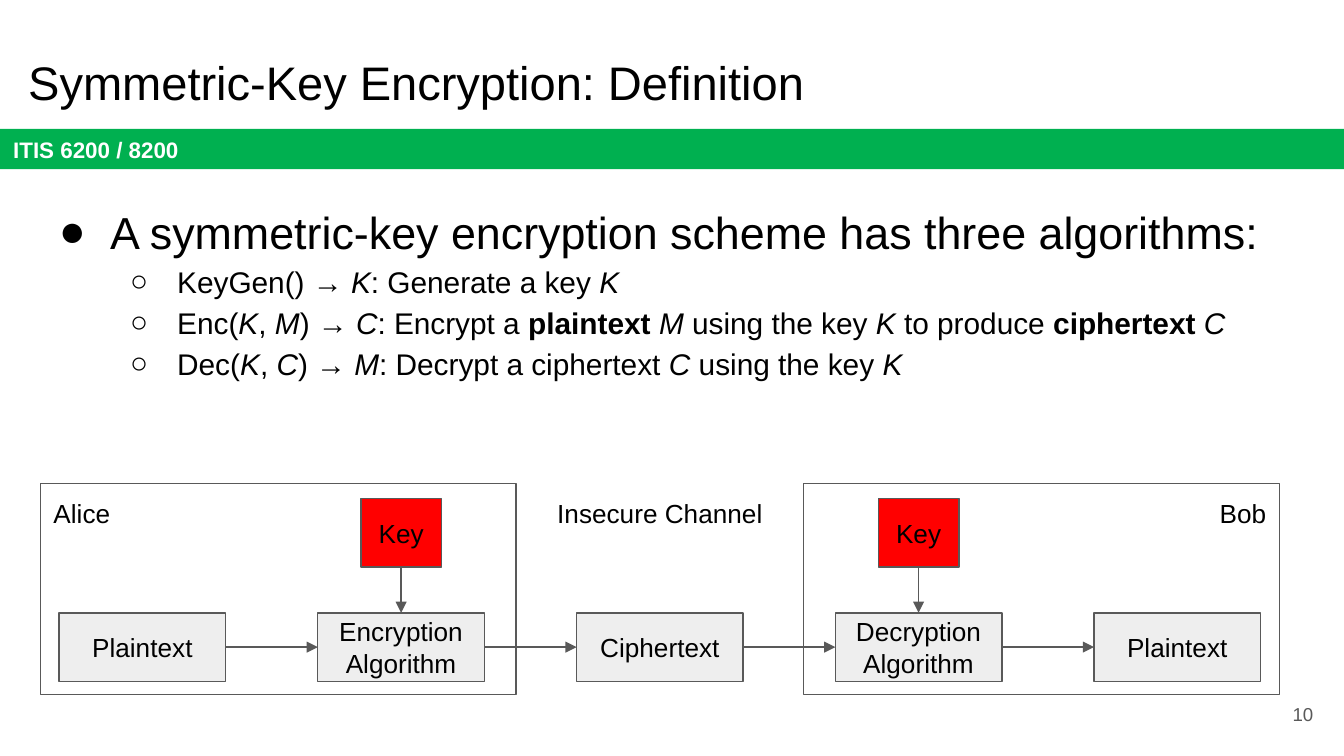
from dataclasses import dataclass

import pptx
import pptx.dml.color
import pptx.enum.shapes
import pptx.enum.text
import pptx.oxml.ns
import pptx.util

Inches, Pt = pptx.util.Inches, pptx.util.Pt
RGBColor = pptx.dml.color.RGBColor
ALIGN, ANCHOR = pptx.enum.text.PP_ALIGN, pptx.enum.text.MSO_ANCHOR
RECT = pptx.enum.shapes.MSO_SHAPE.RECTANGLE
STRAIGHT = pptx.enum.shapes.MSO_CONNECTOR.STRAIGHT

BLACK = RGBColor(0x00, 0x00, 0x00)
WHITE = RGBColor(0xFF, 0xFF, 0xFF)
GREEN = RGBColor(0x00, 0xB0, 0x50)
RED = RGBColor(0xFF, 0x00, 0x00)
LIGHT = RGBColor(0xEE, 0xEE, 0xEE)
GRAY = RGBColor(0x59, 0x59, 0x59)
FONT = "Arial"

# Diagram grid
STEP_LEFT, LAST_STEP_LEFT, STEP_WIDTH = 0.44, 8.14, 1.24
STEP_TOP, BOX_HEIGHT = 4.56, 0.51
KEY_TOP, KEY_WIDTH = 3.71, 0.6
PARTY_TOP, PARTY_WIDTH, PARTY_HEIGHT = 3.6, 3.54, 1.57


@dataclass
class Step:
    label: str
    uses_key: bool = False


@dataclass
class Label:
    text: str
    left: float
    top: float
    width: float
    height: float
    align: ALIGN
    size: float = 14
    color: RGBColor = BLACK
    anchor: ANCHOR = ANCHOR.TOP


@dataclass
class Bullet:
    markup: str  # _italic_ and *bold*
    size: float = 16
    char: str = "○"
    margin: float = 1
    indent: float = -0.35
    level: int = 1


STEPS = [
    Step("Plaintext"),
    Step("Encryption Algorithm", True),
    Step("Ciphertext"),
    Step("Decryption Algorithm", True),
    Step("Plaintext"),
]
STEP_PITCH = (LAST_STEP_LEFT - STEP_LEFT) / (len(STEPS) - 1)
LABELS = [
    Label("Alice", 0.3, PARTY_TOP, 0.84, 0.44, ALIGN.LEFT),
    Label("Bob", 8.68, PARTY_TOP, 0.84, 0.44, ALIGN.RIGHT),
    Label("Insecure Channel", 3.84, PARTY_TOP, 2.14, 0.44, ALIGN.CENTER),
    Label("10", 9.27, 5.1, 0.6, 0.43, ALIGN.RIGHT, 10, GRAY, ANCHOR.MIDDLE),
]
BULLETS = [
    Bullet("A symmetric-key encryption scheme has three algorithms:", 24, "●", 0.5, -0.38, 0),
    Bullet("KeyGen() → _K_: Generate a key _K_"),
    Bullet("Enc(_K_, _M_) → _C_: Encrypt a *plaintext *_M_ using the key _K_"
           " to produce *ciphertext *_C_"),
    Bullet("Dec(_K_, _C_) → _M_: Decrypt a ciphertext _C_ using the key _K_"),
]


def style_run(r, size: float, color: RGBColor = BLACK, bold: bool = False, italic: bool = False) -> None:
    r.font.name, r.font.size = FONT, Pt(size)
    r.font.bold, r.font.italic = bold, italic
    r.font.color.rgb = color


def set_frame(tf, anchor: ANCHOR) -> None:
    tf.word_wrap = True
    tf.auto_size = pptx.enum.text.MSO_AUTO_SIZE.NONE
    tf.vertical_anchor = anchor
    tf.margin_left = tf.margin_right = tf.margin_top = tf.margin_bottom = Inches(0.1)


def set_text(sp, text: str, align: ALIGN, anchor: ANCHOR, size: float,
             color: RGBColor = BLACK, bold: bool = False) -> None:
    tf = sp.text_frame
    set_frame(tf, anchor)
    tf.text = text
    p = tf.paragraphs[0]
    p.alignment = align
    style_run(p.runs[0], size, color, bold)


def add_box(s, left: float, top: float, width: float, height: float,
            fill: RGBColor | None = None, line: RGBColor | None = GRAY):
    sp = s.shapes.add_shape(RECT, Inches(left), Inches(top), Inches(width), Inches(height))
    sp.shadow.inherit = False
    if fill is None:
        sp.fill.background()
    else:
        sp.fill.solid()
        sp.fill.fore_color.rgb = fill
    if line is None:
        sp.line.fill.background()
    else:
        sp.line.color.rgb = line
        sp.line.width = Pt(0.75)
    return sp


def add_node(s, text: str, left: float, top: float, width: float, fill: RGBColor) -> None:
    sp = add_box(s, left, top, width, BOX_HEIGHT, fill)
    set_text(sp, text, ALIGN.CENTER, ANCHOR.MIDDLE, 14)


def add_xml(parent, tag: str, **attributes: str):
    child = parent.makeelement(pptx.oxml.ns.qn(tag), attributes)
    parent.append(child)
    return child


def add_arrow(s, x1: float, y1: float, x2: float, y2: float) -> None:
    c = s.shapes.add_connector(STRAIGHT, Inches(x1), Inches(y1), Inches(x2), Inches(y2))
    c.line.color.rgb = GRAY
    c.line.width = Pt(0.75)
    sp_pr = c._element.spPr
    add_xml(sp_pr.find(pptx.oxml.ns.qn("a:ln")), "a:tailEnd", type="triangle")
    add_xml(sp_pr, "a:effectLst")


def add_label(s, label: Label) -> None:
    sp = s.shapes.add_textbox(Inches(label.left), Inches(label.top),
                              Inches(label.width), Inches(label.height))
    set_text(sp, label.text, label.align, label.anchor, label.size, label.color)


def fill_bullet(p, bullet: Bullet) -> None:
    p.level = bullet.level
    p.line_spacing = 1.15
    p_pr = p._p.get_or_add_pPr()
    p_pr.set("marL", str(Inches(bullet.margin)))
    p_pr.set("indent", str(Inches(bullet.indent)))
    add_xml(add_xml(p_pr, "a:buClr"), "a:srgbClr", val=str(BLACK))
    add_xml(p_pr, "a:buFont", typeface=FONT)
    add_xml(p_pr, "a:buChar", char=bullet.char)
    for i, part in enumerate(bullet.markup.split("_")):
        for j, text in enumerate(part.split("*")):
            if text:
                r = p.add_run()
                r.text = text
                style_run(r, bullet.size, bold=j % 2 == 1, italic=i % 2 == 1)


# 16:9 slide
prs = pptx.Presentation()
prs.slide_width, prs.slide_height = Inches(10), Inches(10 * 9 / 16)
s = prs.slides.add_slide(prs.slide_layouts[5])

# Title and course band
title = s.shapes.title
title.left, title.top = Inches(0.11), Inches(0.29)
title.width, title.height = Inches(9.32), Inches(0.63)
set_text(title, "Symmetric-Key Encryption: Definition", ALIGN.LEFT, ANCHOR.BOTTOM, 25.2)
band = add_box(s, 0, 0.96, 10, 0.3, GREEN, None)
set_text(band, "ITIS 6200 / 8200", ALIGN.LEFT, ANCHOR.MIDDLE, 12, WHITE, True)

# Definition bullets
body = s.shapes.add_textbox(Inches(0.22), Inches(1.36), Inches(9.32), Inches(4.12))
tf = body.text_frame
set_frame(tf, ANCHOR.TOP)
for i, bullet in enumerate(BULLETS):
    fill_bullet(tf.add_paragraph() if i else tf.paragraphs[0], bullet)

# Alice's and Bob's sides
for left in (0.3, 5.98):
    add_box(s, left, PARTY_TOP, PARTY_WIDTH, PARTY_HEIGHT)

# Flow of steps, with a key above each algorithm
for i, step in enumerate(STEPS):
    left = STEP_LEFT + i * STEP_PITCH
    center = left + STEP_WIDTH / 2
    middle = STEP_TOP + BOX_HEIGHT / 2
    add_node(s, step.label, left, STEP_TOP, STEP_WIDTH, LIGHT)
    if step.uses_key:
        add_node(s, "Key", center - KEY_WIDTH / 2, KEY_TOP, KEY_WIDTH, RED)
        add_arrow(s, center, KEY_TOP + BOX_HEIGHT, center, STEP_TOP)
    if i:
        add_arrow(s, left - STEP_PITCH + STEP_WIDTH, middle, left, middle)

# Party names and page number
for label in LABELS:
    add_label(s, label)

prs.save("out.pptx")
